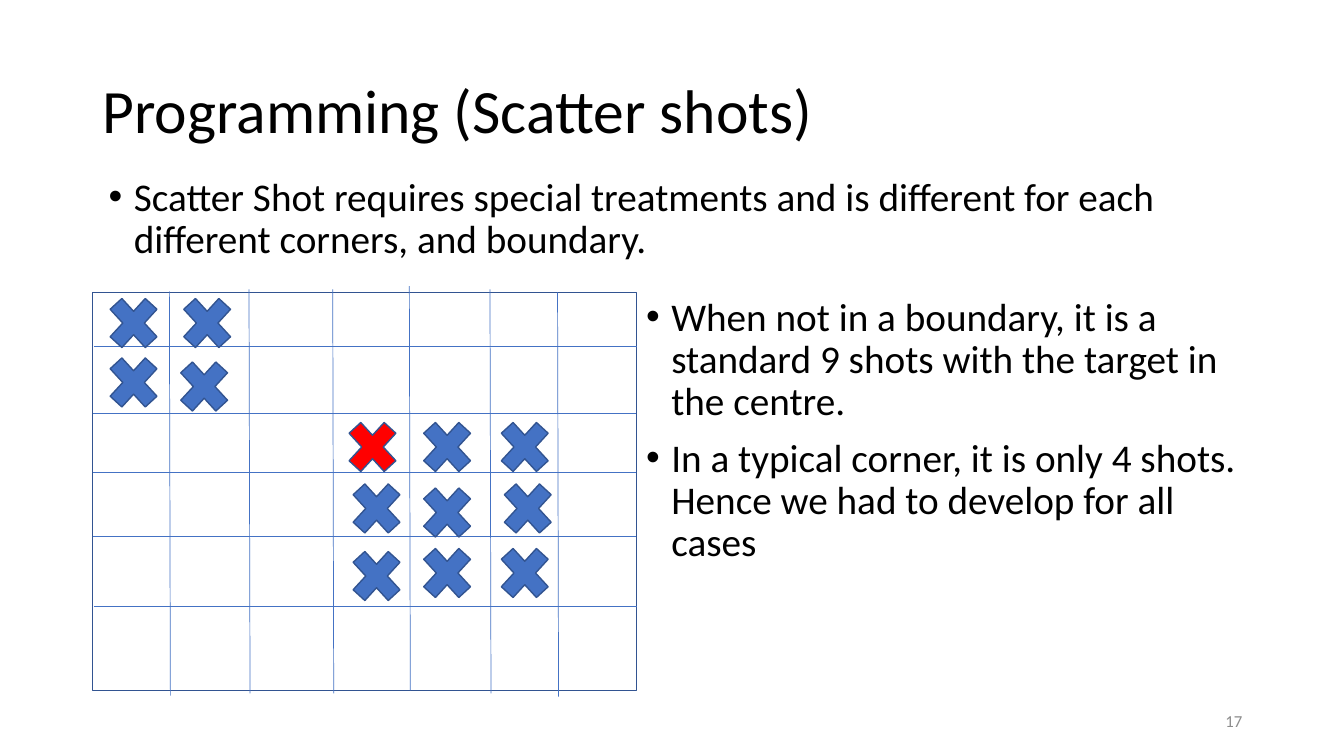
from lxml import etree
from pptx import Presentation
from pptx.dml.color import RGBColor
from pptx.enum.shapes import MSO_CONNECTOR, MSO_SHAPE
from pptx.enum.text import MSO_ANCHOR, PP_ALIGN
from pptx.oxml.ns import qn
from pptx.util import Inches, Pt

RECT, CROSS = MSO_SHAPE.RECTANGLE, MSO_SHAPE.MATH_MULTIPLY
STRAIGHT = MSO_CONNECTOR.STRAIGHT
TOP, MIDDLE = MSO_ANCHOR.TOP, MSO_ANCHOR.MIDDLE
LEFT, RIGHT = PP_ALIGN.LEFT, PP_ALIGN.RIGHT

COLORS = {"ink": "000000", "page": "8C8C8C", "blue": "4472C4",
          "edge": "325491", "red": "FF0000"}


class Board:
    """Draws on one slide; lengths are columns and rows of 0.1 inch."""
    font = "Calibri"
    cell = Inches(0.1)

    def __init__(self, deck):
        self.slide = deck.slides.add_slide(deck.slide_layouts[6])
        self.shapes = self.slide.shapes

    def span(self, *cells):
        return [round(n * self.cell) for n in cells]

    def color(self, name):
        return RGBColor.from_string(COLORS[name])

    def text(self, box, lines, size, color="ink", anchor=TOP, align=LEFT,
             bullet=False, space=0.9):
        frame = self.shapes.add_textbox(*self.span(*box)).text_frame
        frame.word_wrap = True
        frame.vertical_anchor = anchor
        for i, line in enumerate(lines):
            para = frame.add_paragraph() if i else frame.paragraphs[0]
            para.alignment = align
            para.line_spacing = space
            if bullet:
                self.bullet(para)
            run = para.add_run()
            run.text = line
            run.font.name = self.font
            run.font.size = Pt(size)
            run.font.color.rgb = self.color(color)

    def bullet(self, para):
        para.space_before = Pt(10)
        props = para._p.get_or_add_pPr()
        props.set("marL", str(Inches(0.25)))
        props.set("indent", str(-Inches(0.25)))
        etree.SubElement(props, qn("a:buFont")).set("typeface", "Arial")
        etree.SubElement(props, qn("a:buChar")).set("char", "•")

    def shape(self, kind, box, fill=None):
        item = self.shapes.add_shape(kind, *self.span(*box))
        item.shadow.inherit = False
        if fill:
            item.fill.solid()
            item.fill.fore_color.rgb = self.color(fill)
        else:
            item.fill.background()
        item.line.color.rgb = self.color("edge")
        item.line.width = Pt(1)

    def line(self, x1, y1, x2, y2):
        rule = self.shapes.add_connector(STRAIGHT, *self.span(x1, y1, x2, y2))
        rule.line.color.rgb = self.color("blue")
        rule.line.width = Pt(0.5)
        etree.SubElement(rule._element.spPr, qn("a:effectLst"))

    def shot(self, x, y, fill="blue"):
        self.shape(CROSS, (x, y, 6.7, 7.3), fill)


def main():
    deck = Presentation()
    deck.slide_width, deck.slide_height = Inches(13.33), Inches(7.5)
    board = Board(deck)

    board.text((9.2, 4, 115, 14.5), ["Programming (Scatter shots)"], 44,
               anchor=MIDDLE)
    board.text((63.1, 29, 62.1, 38.7), [
        "When not in a boundary, it is a standard 9 shots with the target "
        "in the centre.",
        "In a typical corner, it is only 4 shots. Hence we had to develop "
        "for all cases"], 28, bullet=True)
    board.text((94.2, 69.5, 30, 4), ["17"], 12, "page", MIDDLE, RIGHT, space=1)

    wide, tall = 53.9, 40.1
    board.shape(RECT, (9.2, 29, wide, 39.5))
    for x, y in [(9.3, 34.4), (9.2, 41), (9.2, 46.9), (9.2, 53.2), (9.3, 60.2)]:
        board.line(x, y, x + wide, y)
    for x, y in [(16.8, 28.9), (24.7, 28.7), (33, 28.7), (40.6, 28.4),
                 (48.6, 28.7), (55.3, 29)]:
        board.line(x, y, x + 0.1, y + tall)

    target = (33.6, 40.7)
    around = [(41, 47.2), (41, 40.7), (48.7, 40.7), (49, 46.8), (48.7, 53.2),
              (41, 53.2), (34, 53.5), (34, 46.8)]
    corner = [(9.9, 28.4), (17.2, 28.4), (9.9, 34.3), (16.9, 34.7)]
    for x, y in around:
        board.shot(x, y)
    board.shot(*target, "red")
    board.text((9.8, 17.1, 118.2, 11.3), [
        "Scatter Shot requires special treatments and is different for each "
        "different corners, and boundary."], 28, bullet=True)
    for x, y in corner:
        board.shot(x, y)

    deck.save("out.pptx")


if __name__ == "__main__":
    main()
